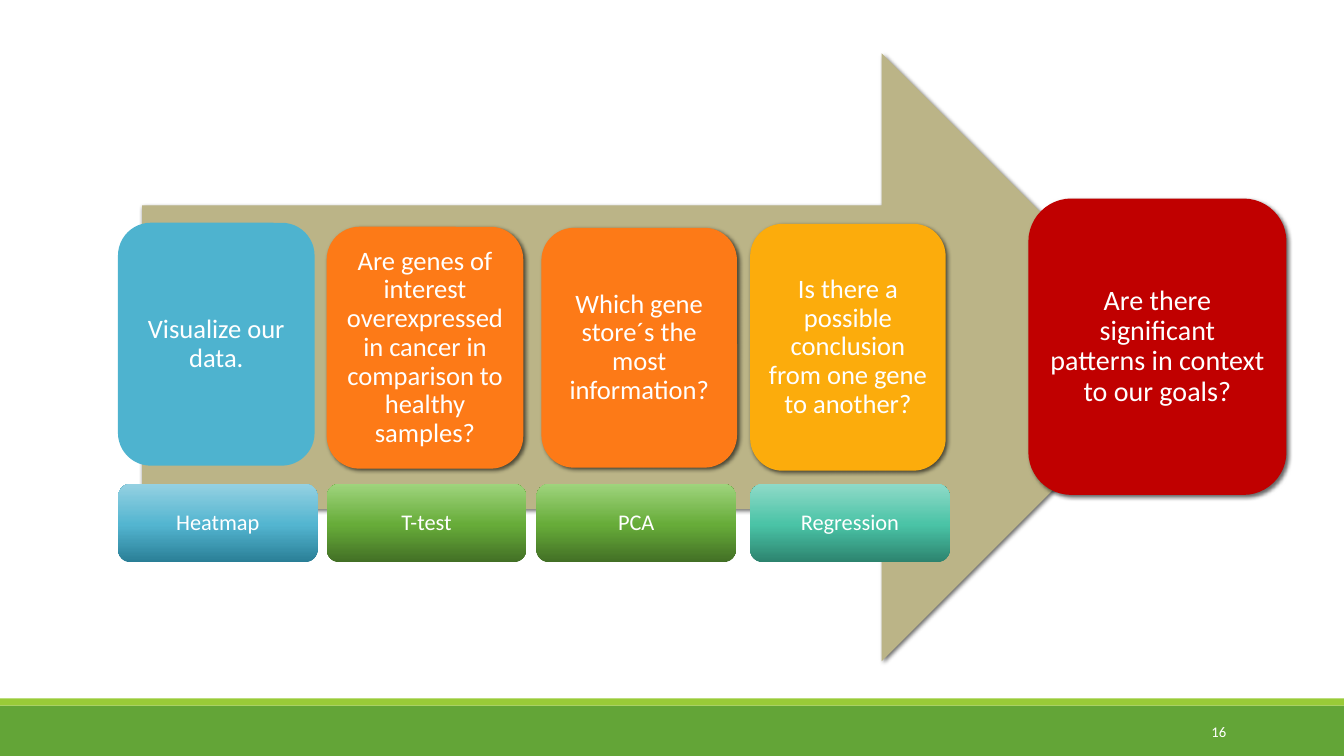
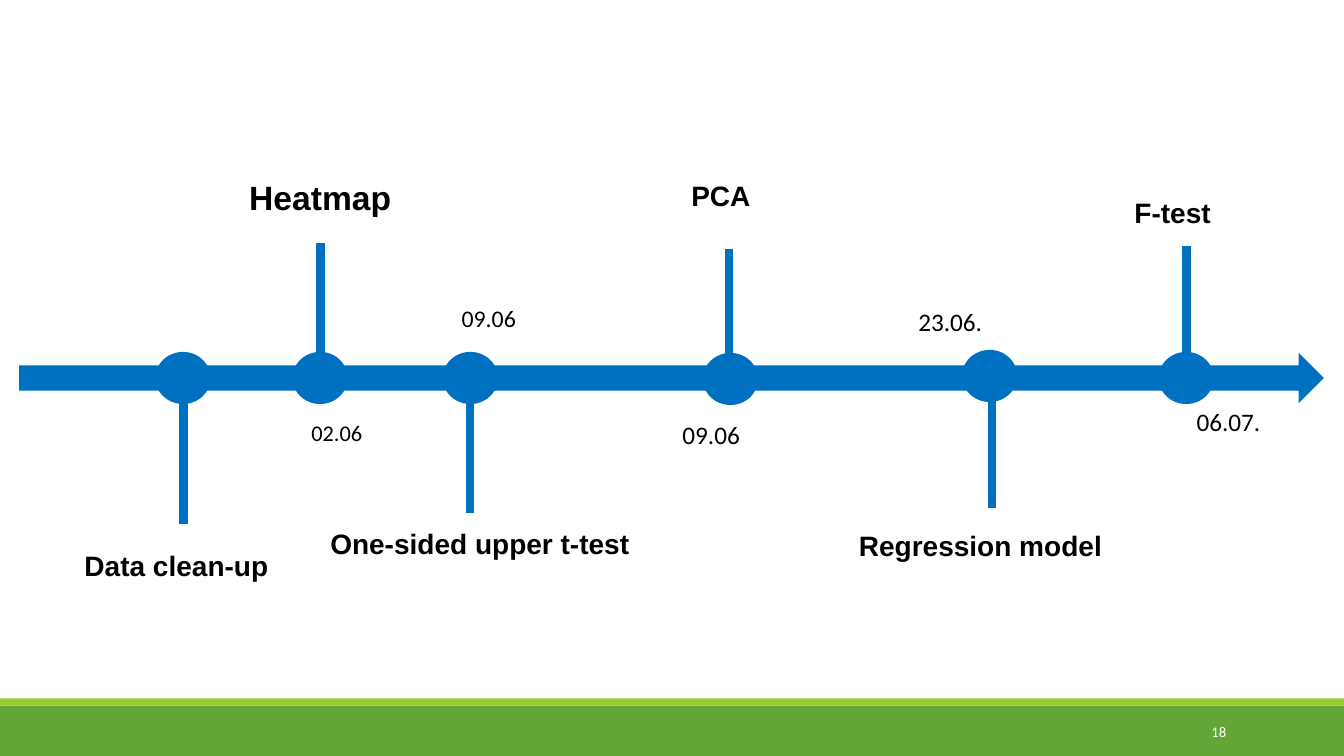
from lxml import etree
from pptx import Presentation
from pptx.dml.color import RGBColor
from pptx.enum.shapes import MSO_CONNECTOR as Connector, MSO_SHAPE as Shape
from pptx.enum.text import MSO_ANCHOR as Anchor, PP_ALIGN as Align
from pptx.oxml.ns import qn
from pptx.util import Emu, Pt

EMU_PER_PX = 9144
SLIDE_WIDTH, SLIDE_HEIGHT = 1333, 750

COLORS = {
    "white": "FFFFFF", "black": "000000",
    "band": "63A537", "stripe": "99CB38",
    "sand": "BBB487", "sky": "4EB3CF", "orange": "FD7A17",
    "amber": "FCAC0C", "red": "C00000", "blue": "0070C0",
}
# Gradients run from bottom to top
GRADIENT_POSITIONS = (0, 48, 100)
GRADIENTS = {
    "sky": ("297E96", "53B5D0", "95D1E2"),
    "green": ("426F25", "67AC39", "9FD47D"),
    "teal": ("2C836E", "4AC3A6", "8FDAC8"),
}

PROCESS_ARROW = (141, 53, 1035, 603)
# text, (left, top, width, height), color, size, shadow
QUESTIONS = [
    ("Visualize our data.", (117, 221, 195, 241), "sky", 19, False),
    ("Are genes of interest overexpressed in cancer in comparison to healthy samples?",
     (324, 225, 195, 240), "orange", 19, True),
    ("Which gene store´s the most information?", (537, 226, 194, 238), "orange", 19, True),
    ("Is there a possible conclusion from one gene to another?",
     (744, 222, 194, 245), "amber", 19, True),
    ("Are there significant patterns in context to our goals?",
     (1020, 197, 256, 294), "red", 20, True),
]
METHOD_TOP, METHOD_WIDTH, METHOD_HEIGHT = 480, 198, 78
# text, left, gradient
METHODS = [
    ("Heatmap", 117, "sky"),
    ("T-test", 324, "green"),
    ("PCA", 532, "green"),
    ("Regression", 744, "teal"),
]

TIMELINE_ARROW = (19, 350, 1294, 50)
DOT_WIDTH, DOT_HEIGHT, STEM_LENGTH = 53, 50, 126
# label, label box, label size, dot (left, top), stem (x, top)
MILESTONES = [
    ("Data clean-up", (59, 539, 232, 44), 20, (155, 350), (182, 394)),
    ("Heatmap", (225, 171, 185, 50), 24, (291, 350), (318, 241)),
    ("One-sided upper t-test", (315, 517, 322, 44), 20, (440, 350), (466, 383)),
    ("PCA", (604, 172, 222, 44), 20, (698, 351), (723, 247)),
    ("Regression model", (831, 519, 283, 44), 20, (955, 348), (984, 378)),
    ("F-test", (1094, 189, 138, 44), 20, (1150, 350), (1177, 244)),
]
DATE_WIDTH, DATE_HEIGHT = 93, 40
# text, left, top, size
DATES = [
    ("02.06", 299, 411, 16),
    ("09.06", 448, 296, 17),
    ("09.06", 667, 411, 18),
    ("23.06.", 901, 299, 18),
    ("06.07.", 1177, 398, 18),
]


def px(length):
    return Emu(length * EMU_PER_PX)


def rgb(name):
    return RGBColor.from_string(COLORS[name])


def write(box, text, size, color="white", font="Calibri", bold=False,
          align=Align.CENTER, anchor=Anchor.MIDDLE):
    frame = box.text_frame
    frame.word_wrap = True
    frame.vertical_anchor = anchor
    frame.text = text
    para = frame.paragraphs[0]
    para.alignment = align
    for span in para.runs:
        span.font.size = Pt(size)
        span.font.name = font
        span.font.bold = bold
        span.font.color.rgb = rgb(color)


def add_text(page, bounds, text, size, **style):
    box = page.shapes.add_textbox(*map(px, bounds))
    write(box, text, size, **style)


def add_block(page, kind, bounds, color=None):
    """Add an outline-free shape, filled when a color is given."""
    block = page.shapes.add_shape(kind, *map(px, bounds))
    block.shadow.inherit = False
    block.line.fill.background()
    if color:
        block.fill.solid()
        block.fill.fore_color.rgb = rgb(color)
    return block


def write_card(card, text, size):
    """Write text with tight margins and line spacing."""
    write(card, text, size)
    frame = card.text_frame
    frame.margin_left = frame.margin_right = px(8)
    frame.margin_top = frame.margin_bottom = px(8)
    frame.paragraphs[0].line_spacing = 0.9


def add_color(parent, value):
    return etree.SubElement(parent, qn("a:srgbClr"), val=value)


def cast_shadow(block):
    effects = block.element.spPr.find(qn("a:effectLst"))
    shadow = etree.SubElement(effects, qn("a:outerShdw"), blurRad=str(Pt(3)),
                              dist=str(Pt(2)), dir="2700000", rotWithShape="0")
    etree.SubElement(add_color(shadow, COLORS["black"]), qn("a:alpha"), val="60000")


def fill_gradient(block, name):
    block.fill.gradient()
    block.fill.gradient_angle = 90
    stops = block.element.spPr.find(qn("a:gradFill")).find(qn("a:gsLst"))
    for stop in list(stops):
        stops.remove(stop)
    for position, value in zip(GRADIENT_POSITIONS, GRADIENTS[name]):
        add_color(etree.SubElement(stops, qn("a:gs"), pos=str(position * 1000)), value)


def add_stem(page, x, top):
    stem = page.shapes.add_connector(Connector.STRAIGHT, px(x), px(top),
                                     px(x), px(top + STEM_LENGTH))
    stem.line.color.rgb = rgb("blue")
    stem.line.width = Pt(6)
    etree.SubElement(stem.element.spPr, qn("a:effectLst"))


def add_page(deck, number):
    """Add a blank slide with the green footer bands and its number."""
    page = deck.slides.add_slide(deck.slide_layouts[6])
    add_block(page, Shape.RECTANGLE, (0, 700, SLIDE_WIDTH, 50), "band")
    add_block(page, Shape.RECTANGLE, (0, 693, SLIDE_WIDTH, 7), "stripe")
    add_text(page, (1083, 706, 143, 40), str(number), 10.5, align=Align.RIGHT)
    return page


def build_process(page):
    cast_shadow(add_block(page, Shape.RIGHT_ARROW, PROCESS_ARROW, "sand"))
    for text, bounds, color, size, shadow in QUESTIONS:
        card = add_block(page, Shape.ROUNDED_RECTANGLE, bounds, color)
        write_card(card, text, size)
        if shadow:
            cast_shadow(card)
    for text, left, gradient in METHODS:
        bounds = (left, METHOD_TOP, METHOD_WIDTH, METHOD_HEIGHT)
        card = add_block(page, Shape.ROUNDED_RECTANGLE, bounds)
        fill_gradient(card, gradient)
        write_card(card, text, 16)


def build_timeline(page):
    add_block(page, Shape.RIGHT_ARROW, TIMELINE_ARROW, "blue")
    for label, bounds, size, dot_corner, stem_start in MILESTONES:
        dot = add_block(page, Shape.OVAL, (*dot_corner, DOT_WIDTH, DOT_HEIGHT), "blue")
        dot.line.color.rgb = rgb("blue")
        dot.line.width = Pt(1.25)
        add_stem(page, *stem_start)
        add_text(page, bounds, label, size, color="black", font="Arial",
                 bold=True, anchor=Anchor.TOP)
    for text, left, top, size in DATES:
        add_text(page, (left, top, DATE_WIDTH, DATE_HEIGHT), text, size,
                 color="black", align=Align.LEFT, anchor=Anchor.TOP)


def main():
    deck = Presentation()
    deck.slide_width, deck.slide_height = px(SLIDE_WIDTH), px(SLIDE_HEIGHT)
    build_process(add_page(deck, 16))
    build_timeline(add_page(deck, 18))
    deck.save("out.pptx")


if __name__ == "__main__":
    main()
